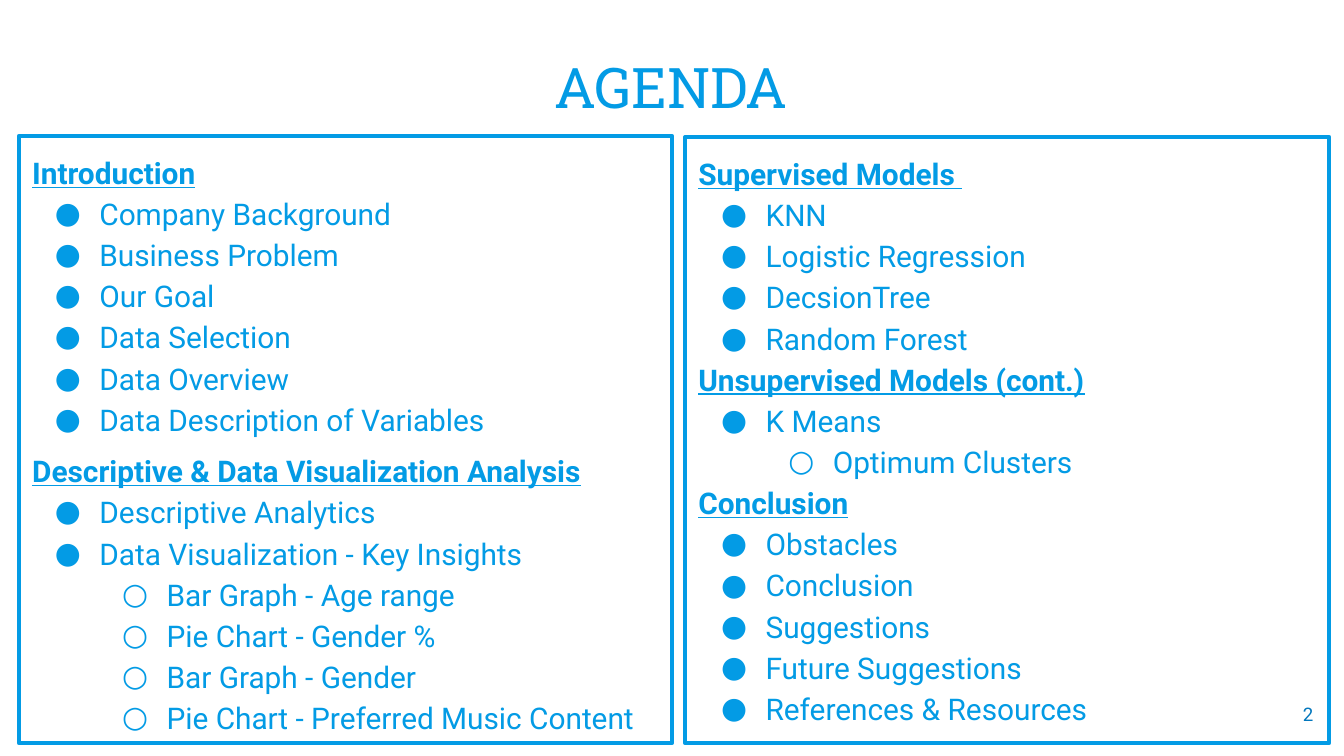
from pptx import Presentation
from pptx.dml.color import RGBColor
from pptx.enum.shapes import MSO_SHAPE
from pptx.enum.text import MSO_ANCHOR, PP_ALIGN
from pptx.oxml.ns import qn
from pptx.util import Cm, Pt
from lxml import etree

RECT = MSO_SHAPE.RECTANGLE
TOP, MIDDLE, BOTTOM = MSO_ANCHOR.TOP, MSO_ANCHOR.MIDDLE, MSO_ANCHOR.BOTTOM
CENTER, RIGHT = PP_ALIGN.CENTER, PP_ALIGN.RIGHT
BLUE, DARK_BLUE = "039BE5", "0277BD"
HEADING, ITEM, SUBITEM = range(3)
BULLETS = {ITEM: "●", SUBITEM: "○"}

INTRO = [
    (HEADING, "Introduction"),
    (ITEM, "Company Background"),
    (ITEM, "Business Problem"),
    (ITEM, "Our Goal"),
    (ITEM, "Data Selection"),
    (ITEM, "Data Overview"),
    (ITEM, "Data Description of Variables"),
    (HEADING, "Descriptive & Data Visualization Analysis"),
    (ITEM, "Descriptive Analytics"),
    (ITEM, "Data Visualization - Key Insights"),
    (SUBITEM, "Bar Graph - Age range"),
    (SUBITEM, "Pie Chart - Gender %"),
    (SUBITEM, "Bar Graph - Gender"),
    (SUBITEM, "Pie Chart - Preferred Music Content"),
]
MODELS = [
    (HEADING, "Supervised Models "),
    (ITEM, "KNN"),
    (ITEM, "Logistic Regression"),
    (ITEM, "DecsionTree"),
    (ITEM, "Random Forest"),
    (HEADING, "Unsupervised Models (cont.)"),
    (ITEM, "K Means"),
    (SUBITEM, "Optimum Clusters"),
    (HEADING, "Conclusion"),
    (ITEM, "Obstacles"),
    (ITEM, "Conclusion"),
    (ITEM, "Suggestions"),
    (ITEM, "Future Suggestions"),
    (ITEM, "References & Resources"),
]


def rgb(color):
    return RGBColor.from_string(color)


class Deck:
    """Holds the agenda style and the current slide."""

    def __init__(self, slide, font="Roboto", color=BLUE):
        self.s, self.font, self.color = slide, font, color

    def frame(self, sp, anchor):
        tf = sp.text_frame
        tf.word_wrap = True
        tf.vertical_anchor = anchor
        tf.margin_left = tf.margin_right = Cm(0.25)
        tf.margin_top = tf.margin_bottom = Cm(0.25)
        return tf

    def style(self, p, size, font=None, color=None, strong=False):
        for r in p.runs:
            r.font.name = font or self.font
            r.font.size = Pt(size)
            r.font.color.rgb = rgb(color or self.color)
            r.font.bold = r.font.underline = strong

    def text(self, box, text, size, align, anchor, font=None, color=None):
        sp = self.s.shapes.add_textbox(*map(Cm, box))
        p = self.frame(sp, anchor).paragraphs[0]
        p.text = text
        p.alignment = align
        self.style(p, size, font, color)

    def bullet(self, p, level):
        pPr = p._p.get_or_add_pPr()
        pPr.set("marL", str(Cm(1.27 * level)))
        pPr.set("indent", str(-Cm(0.84)))
        clr = etree.SubElement(pPr, qn("a:buClr"))
        etree.SubElement(clr, qn("a:srgbClr"), val=self.color)
        etree.SubElement(pPr, qn("a:buFont"), typeface=self.font)
        etree.SubElement(pPr, qn("a:buChar"), char=BULLETS[level])
        p.level = level - 1

    def panel(self, box, rows, heading_gap=0):
        sp = self.s.shapes.add_shape(RECT, *map(Cm, box))
        sp.shadow.inherit = False
        sp.fill.background()
        sp.line.color.rgb = rgb(self.color)
        sp.line.width = Pt(2.25)
        tf = self.frame(sp, TOP)
        tf.text = "\n".join(text for _, text in rows)
        for i, (p, (level, _)) in enumerate(zip(tf.paragraphs, rows)):
            p.alignment = PP_ALIGN.LEFT
            p.line_spacing = 1.15
            if level != HEADING:
                self.bullet(p, level)
            elif i and heading_gap:
                p.space_before = Pt(heading_gap)
            self.style(p, 16, strong=level == HEADING)


def main():
    prs = Presentation()
    prs.slide_width, prs.slide_height = Cm(25.4), Cm(14.29)
    deck = Deck(prs.slides.add_slide(prs.slide_layouts[6]))
    deck.text((1.07, 0.61, 23.24, 1.9), "AGENDA", 30, CENTER, BOTTOM, font="Roboto Slab")
    deck.panel((12.95, 2.59, 12.17, 11.46), MODELS)
    deck.panel((0.36, 2.57, 12.34, 11.48), INTRO, heading_gap=5.5)
    deck.text((23.55, 12.95, 1.52, 1.09), "2", 10, RIGHT, MIDDLE, color=DARK_BLUE)
    prs.save("out.pptx")


if __name__ == "__main__":
    main()
